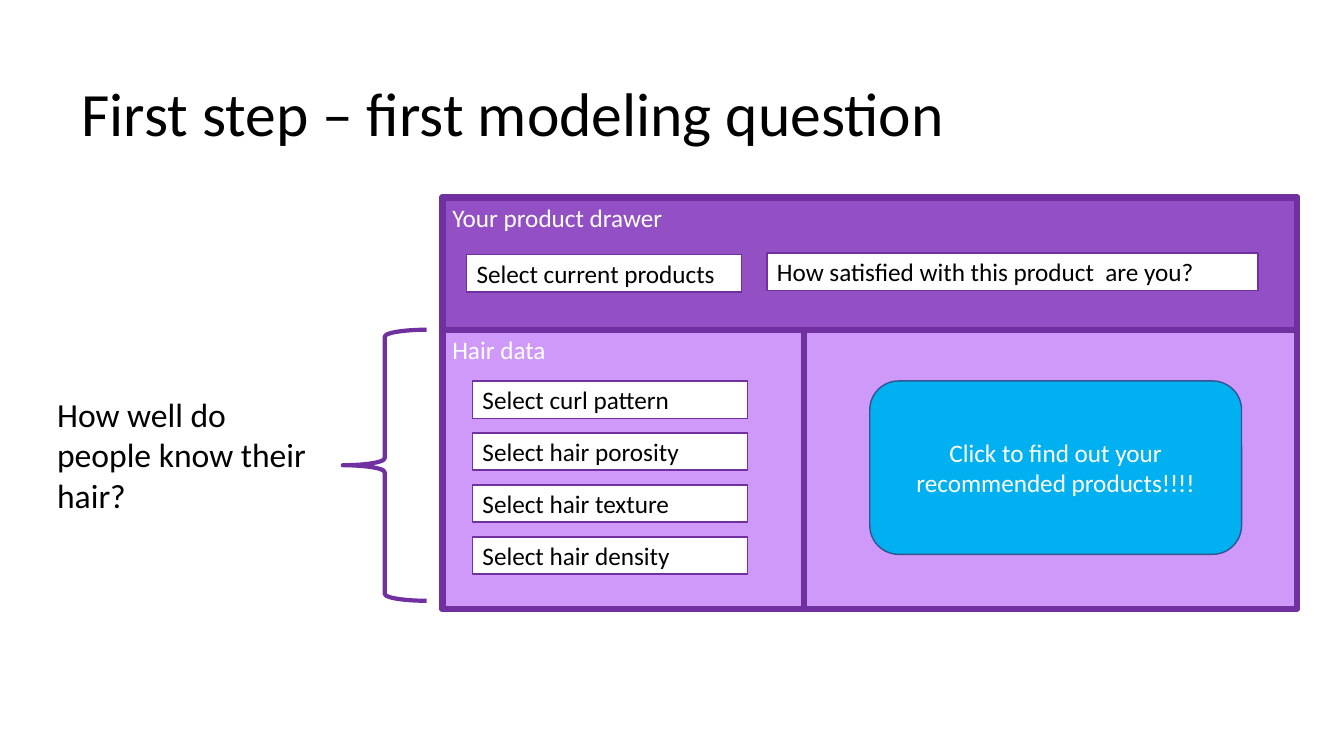
from lxml import etree
from pptx import Presentation
from pptx.dml.color import RGBColor
from pptx.enum.shapes import MSO_SHAPE as Shape
from pptx.enum.text import MSO_ANCHOR as Anchor, PP_ALIGN as Align
from pptx.oxml.ns import qn
from pptx.util import Cm, Pt

PURPLE, WHITE, BLACK = "7030A0", "FFFFFF", "000000"


def color(hex_string):
    return RGBColor.from_string(hex_string)


class Mockup:
    """Holds the text style and the slide being built."""

    font = "Calibri"

    def __init__(self, slide):
        self.slide = slide

    def set_text(self, shape, text, size, text_color, anchor, align=Align.LEFT):
        frame = shape.text_frame
        frame.word_wrap = True
        frame.vertical_anchor = anchor
        frame.text = text
        paragraph = frame.paragraphs[0]
        paragraph.alignment = align
        font = paragraph.runs[0].font
        font.name, font.size = self.font, Pt(size)
        font.color.rgb = color(text_color)
        return paragraph

    def label(self, box, text, size, anchor=Anchor.TOP):
        shape = self.slide.shapes.add_textbox(*map(Cm, box))
        return self.set_text(shape, text, size, BLACK, anchor)

    def outline(self, kind, box, fill=None, opacity=100, line=PURPLE, width=4.5):
        shape = self.slide.shapes.add_shape(kind, *map(Cm, box))
        shape.shadow.inherit = False
        shape.line.color.rgb = color(line)
        shape.line.width = Pt(width)
        if fill is None:
            shape.fill.background()
            return shape
        shape.fill.solid()
        shape.fill.fore_color.rgb = color(fill)
        if opacity < 100:
            fill_color = shape.element.spPr.find(qn("a:solidFill")).find(qn("a:srgbClr"))
            etree.SubElement(fill_color, qn("a:alpha"), val=str(opacity * 1000))
        return shape

    def panel(self, box, title, fill=None, opacity=100):
        shape = self.outline(Shape.RECTANGLE, box, fill, opacity)
        self.set_text(shape, title, 18, WHITE, Anchor.TOP)

    def field(self, left, top, width, text):
        shape = self.outline(Shape.RECTANGLE, (left, top, width, 0.94), WHITE, width=1)
        self.set_text(shape, text, 18, BLACK, Anchor.MIDDLE)

    def button(self, box, text):
        shape = self.outline(Shape.ROUNDED_RECTANGLE, box, "00B0F0",
                             line="325491", width=1)
        self.set_text(shape, text, 18, WHITE, Anchor.MIDDLE, Align.CENTER)


def main():
    presentation = Presentation()
    presentation.slide_width, presentation.slide_height = Cm(33.87), Cm(19.05)
    slide = presentation.slides.add_slide(presentation.slide_layouts[6])
    mockup = Mockup(slide)

    # Title
    title = mockup.label((1.8, 1.09, 29.21, 3.68),
                         "First step – first modeling question", 44, Anchor.MIDDLE)
    title.line_spacing = 0.9

    # App window with the product drawer
    left, top, width, height, drawer_height = 11.15, 4.98, 21.54, 10.36, 3.33
    hair_top = top + drawer_height
    mockup.outline(Shape.RECTANGLE, (left, top, width, height), "AB4AF5", 56)
    mockup.panel((left, top, width, drawer_height), "Your product drawer", "7C35B2", 72)
    mockup.field(11.76, 6.42, 6.93, "Select current products")
    mockup.field(19.33, 6.38, 12.37, "How satisfied with this product  are you?")

    # Hair data
    mockup.panel((left, hair_top, 9.12, height - drawer_height), "Hair data")
    for row, trait in enumerate(("curl pattern", "hair porosity",
                                 "hair texture", "hair density")):
        mockup.field(11.91, 9.6 + 1.31 * row, 6.93, f"Select {trait}")

    # Recommendation button
    mockup.button((21.92, 9.6, 9.37, 4.37),
                  "Click to find out your recommended products!!!!")

    # Modeling question
    mockup.outline(Shape.LEFT_BRACE, (8.64, hair_top, 2.11, 6.83), width=3)
    mockup.label((1.19, 9.8, 7.26, 3.33), "How well do people know their hair?", 24)

    presentation.save("out.pptx")


if __name__ == "__main__":
    main()
